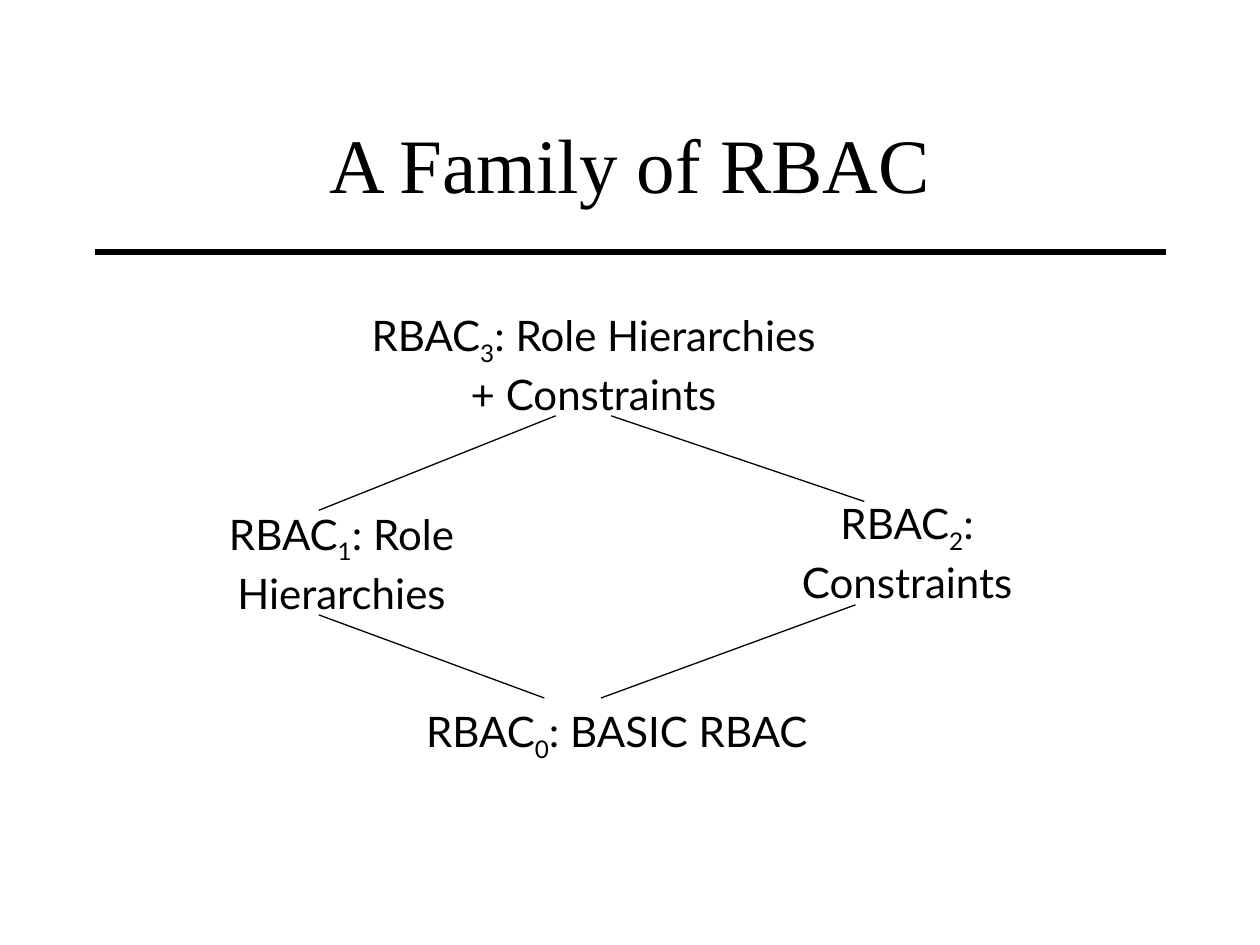
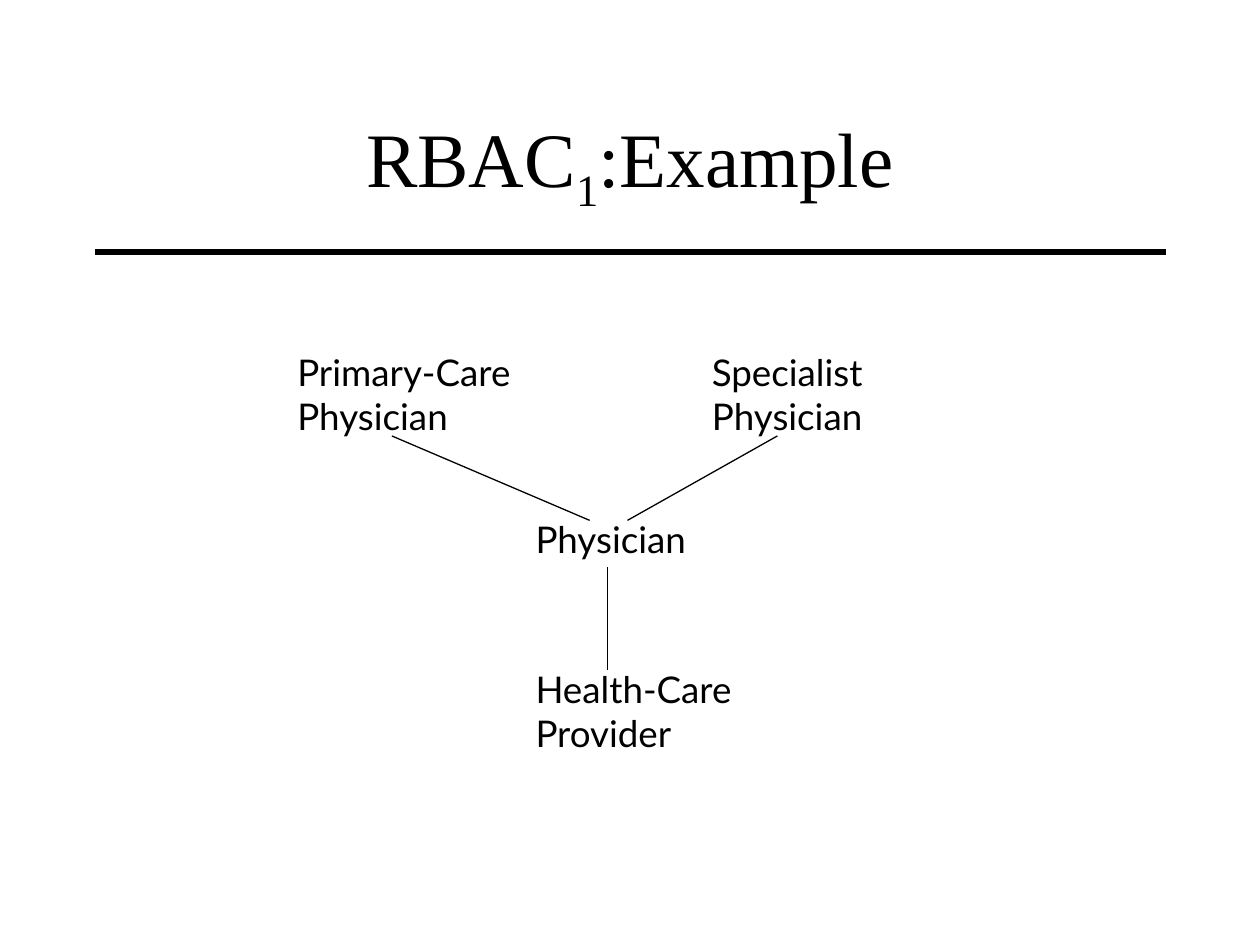
from dataclasses import dataclass

import pptx
import pptx.dml.color
import pptx.enum.shapes
import pptx.enum.text
import pptx.util
from lxml import etree
from pptx.oxml.ns import qn

Inches = pptx.util.Inches
Pt = pptx.util.Pt
ALIGN = pptx.enum.text.PP_ALIGN
LEFT, CENTER = ALIGN.LEFT, ALIGN.CENTER


@dataclass(frozen=True)
class Theme:
    ink: pptx.dml.color.RGBColor = pptx.dml.color.RGBColor(0, 0, 0)
    title_font: str = "Times New Roman"
    body_font: str = "Lato"
    title_size: float = 44
    model_size: float = 24
    role_size: float = 21
    rule_width: float = 3
    edge_width: float = 0.75


THEME = Theme()


@dataclass(frozen=True)
class Para:
    """A paragraph; text between tildes is subscript."""
    text: str
    spacing: float | pptx.util.Length | None = None
    before: float = 0
    indent: float = 0


@dataclass(frozen=True)
class Label:
    left: float
    top: float
    width: float
    height: float
    paras: tuple[Para, ...]


@dataclass(frozen=True)
class Edge:
    x1: float
    y1: float
    x2: float
    y2: float


@dataclass(frozen=True)
class Diagram:
    title: str
    size: float
    align: ALIGN
    labels: tuple[Label, ...]
    edges: tuple[Edge, ...]


ROLE_LINE = Pt(25.5)

FAMILY = Diagram(
    "A Family of RBAC", THEME.model_size, CENTER,
    labels=(
        Label(2.5, 2.46, 4.42, 0.82, (
            Para("RBAC~3~: Role Hierarchies"),
            Para("+ Constraints", spacing=Pt(28.7), before=0.6))),
        Label(1.5, 4.01, 2.42, 0.86, (
            Para("RBAC~1~: Role Hierarchies", spacing=1.05),)),
        Label(5.98, 3.95, 2.44, 0.83, (
            Para("RBAC~2~:"), Para("Constraints", before=0.6))),
        Label(3.3, 5.6, 3.19, 0.41, (Para("RBAC~0~: BASIC RBAC"),)),
    ),
    edges=(
        Edge(4.41, 3.3, 2.53, 4.05),
        Edge(4.85, 3.3, 6.86, 3.98),
        Edge(2.53, 4.88, 4.32, 5.54),
        Edge(4.77, 5.54, 6.79, 4.8),
    ),
)

EXAMPLE = Diagram(
    "RBAC~1~:Example", THEME.role_size, LEFT,
    labels=(
        Label(2.36, 2.77, 1.74, 0.7, (
            Para("Primary-Care Physician", spacing=ROLE_LINE),)),
        Label(5.65, 2.77, 1.26, 0.7, (
            Para("Specialist Physician", spacing=ROLE_LINE),)),
        Label(3.63, 4.1, 2.78, 1.56, (
            Para("Physician", indent=0.62),
            Para("Health-Care Provider", before=60.5, indent=0.62))),
    ),
    edges=(
        Edge(3.11, 3.46, 4.68, 4.13),
        Edge(6.17, 3.46, 4.98, 4.13),
        Edge(4.82, 5.32, 4.82, 4.5),
    ),
)


def write_text(p, text: str, *, font: str, size: float, align: ALIGN) -> None:
    """Fill a paragraph, lowering the pieces between tildes."""
    p.alignment = align
    for i, piece in enumerate(text.split("~")):
        r = p.add_run()
        r.text = piece
        r.font.name = font
        r.font.size = Pt(size)
        r.font.color.rgb = THEME.ink
        if i % 2:
            r.font._element.set("baseline", "-25000")


def add_line(slide, edge: Edge, width: float):
    line = slide.shapes.add_connector(
        pptx.enum.shapes.MSO_CONNECTOR.STRAIGHT,
        Inches(edge.x1), Inches(edge.y1), Inches(edge.x2), Inches(edge.y2))
    line.line.color.rgb = THEME.ink
    line.line.width = Pt(width)
    etree.SubElement(line._element.spPr, qn("a:effectLst"))
    return line


def add_label(slide, label: Label, size: float, align: ALIGN) -> None:
    sp = slide.shapes.add_textbox(Inches(label.left), Inches(label.top),
                                  Inches(label.width), Inches(label.height))
    tf = sp.text_frame
    tf.word_wrap = True
    tf.margin_left = tf.margin_top = tf.margin_right = tf.margin_bottom = 0
    for i, para in enumerate(label.paras):
        p = tf.add_paragraph() if i else tf.paragraphs[0]
        write_text(p, para.text, font=THEME.body_font, size=size, align=align)
        p.space_before = Pt(para.before)
        if para.spacing:
            p.line_spacing = para.spacing
        if para.indent:
            p._p.get_or_add_pPr().set("marL", str(Inches(para.indent)))


def prepare_layout(layout) -> None:
    """Place the title once for every slide."""
    sp = layout.placeholders[0]
    sp.left, sp.top = Inches(0.75), Inches(0.67)
    sp.width, sp.height = Inches(8.5), Inches(1.25)


def add_diagram(prs, layout, diagram: Diagram):
    slide = prs.slides.add_slide(layout)
    tf = slide.shapes.title.text_frame
    tf.vertical_anchor = pptx.enum.text.MSO_ANCHOR.MIDDLE
    write_text(tf.paragraphs[0], diagram.title, font=THEME.title_font,
               size=THEME.title_size, align=CENTER)
    for label in diagram.labels:
        add_label(slide, label, diagram.size, diagram.align)
    for edge in diagram.edges:
        add_line(slide, edge, THEME.edge_width)
    return slide


def main() -> None:
    prs = pptx.Presentation()
    prs.slide_width, prs.slide_height = Inches(10), Inches(7.5)
    layout = prs.slide_layouts.get_by_name("Title Only")
    prepare_layout(layout)

    slides = [add_diagram(prs, layout, d) for d in (FAMILY, EXAMPLE)]

    # The rule under the title moves to the layout, which both slides share
    rule = add_line(slides[0], Edge(0.75, 2, 9.25, 2), THEME.rule_width)
    layout.shapes.element.append(rule._element)

    prs.save("out.pptx")


if __name__ == "__main__":
    main()
